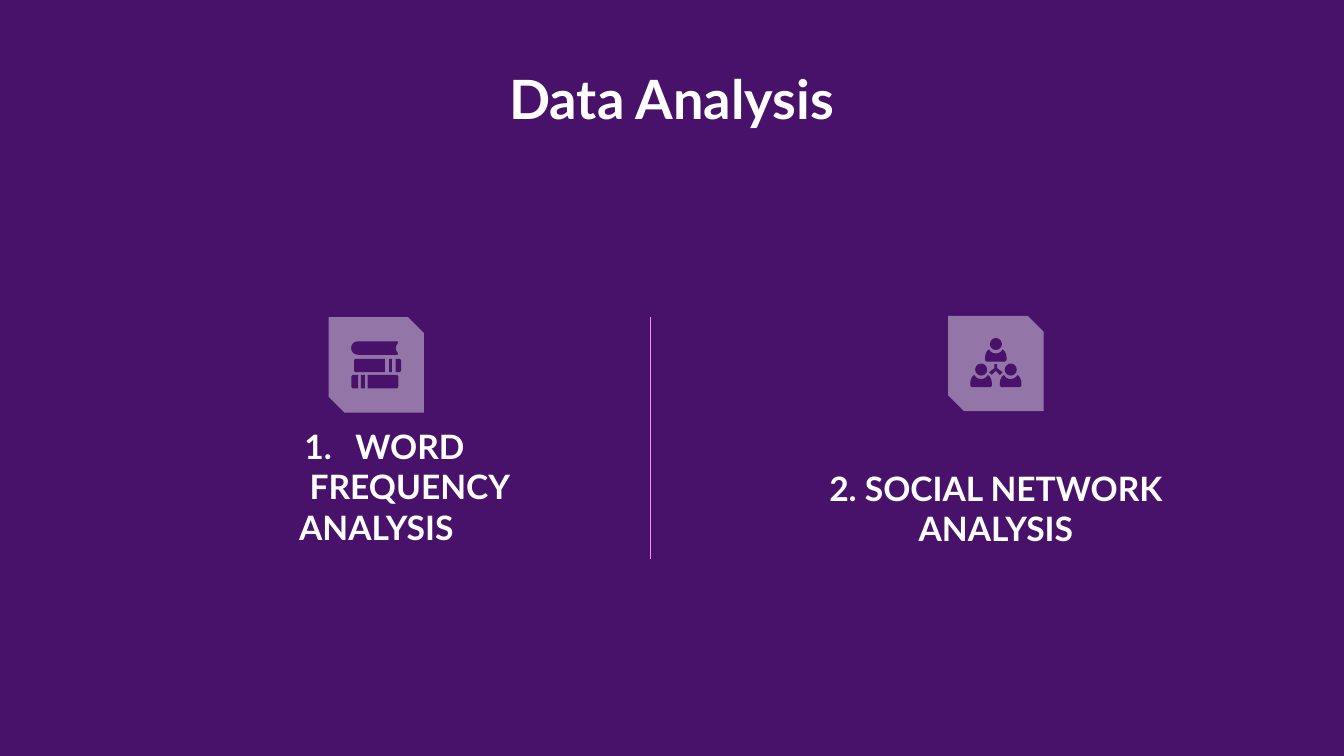
from dataclasses import dataclass

from lxml import etree
from pptx import Presentation
from pptx.dml.color import RGBColor
from pptx.enum.shapes import MSO_CONNECTOR, MSO_SHAPE
from pptx.enum.text import MSO_ANCHOR, PP_ALIGN
from pptx.oxml.ns import qn
from pptx.util import Inches, Pt


@dataclass(frozen=True)
class Theme:
    background: RGBColor = RGBColor(0x48, 0x12, 0x6A)
    white: RGBColor = RGBColor(0xFF, 0xFF, 0xFF)
    divider: RGBColor = RGBColor(0xFF, 0x8C, 0xFF)
    font: str = "Lato"
    title_size: Pt = Pt(29)
    label_size: Pt = Pt(18)


THEME = Theme()
TILE = 0.71


def add_text(page, box, lines, size, anchor=MSO_ANCHOR.TOP, numbered=False):
    """Centred bold text; numbered puts "1." before the first line."""
    frame = page.shapes.add_textbox(*map(Inches, box)).text_frame
    frame.word_wrap = True
    frame.vertical_anchor = anchor
    frame.margin_left = frame.margin_right = Inches(0.1)
    frame.margin_top = frame.margin_bottom = Inches(0.1)
    for index, line in enumerate(lines):
        para = frame.add_paragraph() if index else frame.paragraphs[0]
        para.text = line
        para.alignment = PP_ALIGN.CENTER
        if numbered and index == 0:
            add_number(para)
        para.font.name = THEME.font
        para.font.size = size
        para.font.bold = True
        para.font.color.rgb = THEME.white


def add_number(para):
    props = para._p.get_or_add_pPr()
    props.set("marL", str(Inches(0.5)))
    props.set("indent", str(Inches(-0.38)))
    color = etree.SubElement(props, qn("a:buClr"))
    etree.SubElement(color, qn("a:srgbClr"), val=str(THEME.white))
    etree.SubElement(props, qn("a:buFont"), typeface=THEME.font)
    etree.SubElement(props, qn("a:buAutoNum"), type="arabicPeriod")


def fill_plain(shape, color):
    shape.shadow.inherit = False
    shape.fill.solid()
    shape.fill.fore_color.rgb = color
    shape.line.fill.background()


def curve(start, pull_a, pull_b, end, steps=8):
    """Points along a cubic curve, both ends included."""
    points = []
    for step in range(steps + 1):
        t = step / steps
        weights = ((1 - t) ** 3, 3 * t * (1 - t) ** 2, 3 * t * t * (1 - t), t ** 3)
        points.append(tuple(
            sum(w * p for w, p in zip(weights, axis))
            for axis in zip(start, pull_a, pull_b, end)))
    return points


def add_outline(page, origin, points):
    left, top = origin
    placed = [(Inches(left + x), Inches(top + y)) for x, y in points]
    builder = page.shapes.build_freeform(*placed[0])
    builder.add_line_segments(placed[1:], close=True)
    fill_plain(builder.convert_to_shape(), THEME.background)


def add_tile(page, left, top):
    tile = page.shapes.add_shape(
        MSO_SHAPE.SNIP_2_DIAG_RECTANGLE, *map(Inches, (left, top, TILE, TILE)))
    tile.adjustments[0] = 0
    tile.adjustments[1] = 1 / 6
    fill_plain(tile, THEME.white)
    color = tile._element.spPr.find(qn("a:solidFill"))[0]
    etree.SubElement(color, qn("a:alpha"), val="42000")


def add_books(page, left, top):
    """Three stacked books, the lower two with a banded spine."""
    origin = (left, top)
    height = 0.1
    add_outline(page, origin,
                curve((0.22, 0.28), (0.15, 0.28), (0.15, 0.18), (0.22, 0.18))
                + curve((0.51, 0.18), (0.53, 0.19), (0.5, 0.2), (0.5, 0.23))
                + curve((0.5, 0.23), (0.5, 0.26), (0.53, 0.27), (0.51, 0.28)))

    # Each piece: left edge, right edge, corner cut at left and at right
    cut = 0.01
    rows = {
        0.31: [(0.19, 0.42, cut, 0), (0.45, 0.47, 0, 0), (0.5, 0.54, 0, cut)],
        0.43: [(0.17, 0.22, cut, 0), (0.24, 0.27, 0, 0), (0.29, 0.52, 0, cut)],
    }
    for y, pieces in rows.items():
        bottom = y + height
        for x1, x2, cut1, cut2 in pieces:
            add_outline(page, origin, [
                (x1 + cut1, y), (x2 - cut2, y), (x2, y + cut2), (x2, bottom - cut2),
                (x2 - cut2, bottom), (x1 + cut1, bottom), (x1, bottom - cut1),
                (x1, y + cut1)])


def add_person(page, x, y):
    """Head centred on x, y, with the shoulders below it."""
    size = 0.09
    head = page.shapes.add_shape(
        MSO_SHAPE.OVAL, *map(Inches, (x - size / 2, y - size / 2, size, size)))
    fill_plain(head, THEME.background)
    add_outline(page, (x, y),
                curve((-0.05, 0.04), (-0.07, 0.05), (-0.08, 0.08), (-0.08, 0.1))
                + [(-0.08, 0.12), (-0.07, 0.13), (0.07, 0.13), (0.08, 0.12)]
                + curve((0.08, 0.1), (0.08, 0.08), (0.07, 0.05), (0.05, 0.04))
                + curve((0.05, 0.04), (0.03, 0.08), (-0.03, 0.08), (-0.05, 0.04)))


def add_network(page, left, top):
    """Three people around a three-way link."""
    middle = left + TILE / 2
    for offset, y in ((0, 0.21), (-0.11, 0.4), (0.11, 0.4)):
        add_person(page, middle + offset, top + y)
    add_outline(page, (middle, top + 0.36), [
        (-0.01, 0), (-0.01, 0.03), (-0.05, 0.06), (-0.03, 0.08), (0, 0.05),
        (0.03, 0.08), (0.05, 0.06), (0.01, 0.03), (0.01, 0)])


def add_topic(page, box, tile_top, draw_icon, lines, numbered=False):
    """Icon tile centred above its label box."""
    left, _, width, _ = box
    tile_left = left + (width - TILE) / 2
    add_tile(page, tile_left, tile_top)
    draw_icon(page, tile_left, tile_top)
    add_text(page, box, lines, THEME.label_size, MSO_ANCHOR.BOTTOM, numbered)


def add_divider(page, x, top, bottom):
    line = page.shapes.add_connector(
        MSO_CONNECTOR.STRAIGHT, *map(Inches, (x, top, x, bottom)))
    line.line.color.rgb = THEME.divider
    line.line.width = Pt(0.75)
    etree.SubElement(line._element.spPr, qn("a:effectLst"))


def main():
    # A 16:9 page
    deck = Presentation()
    deck.slide_width, deck.slide_height = Inches(10), Inches(10 * 9 / 16)
    page = deck.slides.add_slide(deck.slide_layouts[6])
    page.background.fill.solid()
    page.background.fill.fore_color.rgb = THEME.background

    # Title
    add_text(page, (2.15, 0.39, 5.7, 1.03), ["Data Analysis"], THEME.title_size)

    # Two topics with a line between them
    add_topic(page, (1.34, 3.34, 2.92, 0.83), 2.36, add_books,
              ["WORD FREQUENCY", "ANALYSIS"], numbered=True)
    add_divider(page, 4.84, 2.36, 4.16)
    add_topic(page, (5.95, 3.35, 2.92, 0.83), 2.35, add_network,
              ["2. SOCIAL NETWORK ANALYSIS"])

    deck.save("out.pptx")


if __name__ == "__main__":
    main()
